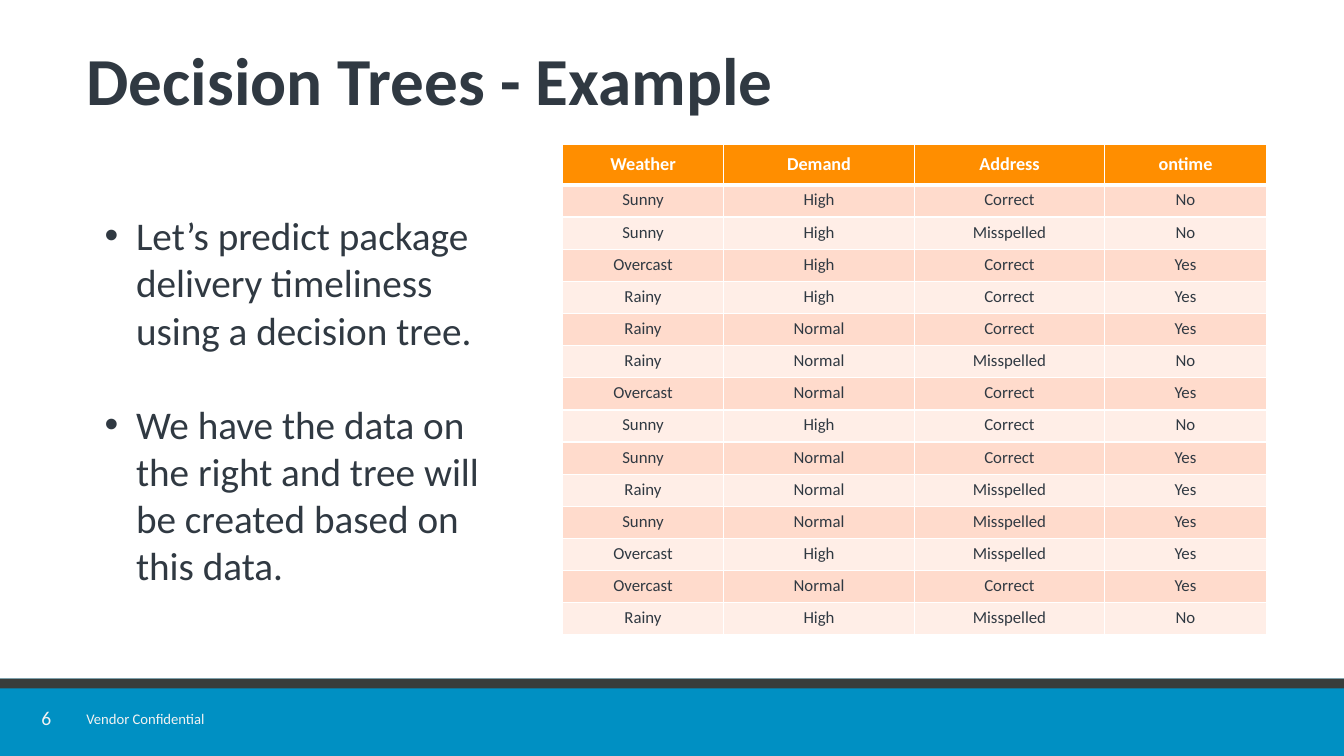
from lxml.etree import SubElement
from pptx import Presentation
from pptx.dml.color import RGBColor
from pptx.enum.shapes import MSO_SHAPE
from pptx.enum.text import MSO_ANCHOR, MSO_AUTO_SIZE, PP_ALIGN
from pptx.oxml.ns import qn
from pptx.util import Cm, Pt

INK, WHITE, PALE = "303942", "FFFFFF", "F2F2F2"
BLUE, SLATE = "0090C3", "383D3B"
HEAD, BANDS = "FF8E00", ("FFEEE7", "FFDBCC")
WIDTHS = (4.07, 4.8, 4.8, 4.07)
HEADS = ("Weather", "Demand", "Address", "ontime")
ROWS = """Sunny High Correct No
Sunny High Misspelled No
Overcast High Correct Yes
Rainy High Correct Yes
Rainy Normal Correct Yes
Rainy Normal Misspelled No
Overcast Normal Correct Yes
Sunny High Correct No
Sunny Normal Correct Yes
Rainy Normal Misspelled Yes
Sunny Normal Misspelled Yes
Overcast High Misspelled Yes
Overcast Normal Correct Yes
Rainy High Misspelled No"""
POINTS = (
    "Let’s predict package delivery timeliness using a decision tree.",
    "We have the data on the right and tree will be created based on this data.",
)


def paint(fmt, hue):
    fmt.rgb = RGBColor.from_string(hue)


def fill(part, hue):
    part.fill.solid()
    paint(part.fill.fore_color, hue)


def apply(item, form):
    for name, value in form.items():
        setattr(item, name, value)


def style(para, size, hue, bold=False, **form):
    apply(para, form)
    apply(para.font, {"name": "Calibri", "size": Pt(size), "bold": bold})
    paint(para.font.color, hue)


def add_bar(slide, top, height, hue):
    bar = slide.shapes.add_shape(
        MSO_SHAPE.RECTANGLE, 0, Cm(top), Cm(33.87), Cm(height))
    bar.shadow.inherit = False
    fill(bar, hue)
    bar.line.fill.background()


def add_text(slide, spot, **form):
    frame = slide.shapes.add_textbox(*map(Cm, spot)).text_frame
    apply(frame, form)
    return frame


def add_title(slide, text):
    title = slide.shapes.title
    spot = zip(("left", "top", "width", "height"), (1.93, 0.81, 30.86, 2.74))
    apply(title, {side: Cm(size) for side, size in spot})
    frame = title.text_frame
    frame.text = text
    apply(frame, {"vertical_anchor": MSO_ANCHOR.MIDDLE, "word_wrap": True,
                  "auto_size": MSO_AUTO_SIZE.NONE})
    style(frame.paragraphs[0], 48, INK, True,
          alignment=PP_ALIGN.LEFT, line_spacing=0.8)


def add_points(slide):
    frame = add_text(slide, (2.39, 5.21, 11, 9.83), word_wrap=True,
                     auto_size=MSO_AUTO_SIZE.SHAPE_TO_FIT_TEXT)
    for rank, text in enumerate(POINTS):
        para = frame.add_paragraph() if rank else frame.paragraphs[0]
        para.text = text
        props = para._p.get_or_add_pPr()
        props.set("marL", str(Cm(0.79)))
        props.set("indent", str(-Cm(0.79)))
        SubElement(props, qn("a:buFont"), typeface="Arial")
        SubElement(props, qn("a:buChar"), char="•")
        style(para, 28, INK)
        if rank:
            para.space_before = Pt(34)


def edge(cell, row):
    props = cell._tc.get_or_add_tcPr()
    thick = {(0, "B"), (1, "T")}
    for side in "LRTB":
        width = 3 if (row, side) in thick else 1
        line = SubElement(props, qn("a:ln" + side), w=str(Pt(width)))
        ink = SubElement(line, qn("a:solidFill"))
        SubElement(ink, qn("a:srgbClr"), val=WHITE)


def add_data(slide):
    data = [HEADS] + [line.split() for line in ROWS.splitlines()]
    table = slide.shapes.add_table(
        len(data), len(HEADS), Cm(14.17), Cm(3.64), Cm(sum(WIDTHS)), Cm(12.36)).table
    for col, width in zip(table.columns, WIDTHS):
        col.width = Cm(width)
    for r, words in enumerate(data):
        table.rows[r].height = Cm(0.81 if r else 1.02)
        for c, word in enumerate(words):
            cell = table.cell(r, c)
            cell.text = word
            edge(cell, r)
            fill(cell, BANDS[r % 2] if r else HEAD)
            cell.vertical_anchor = MSO_ANCHOR.TOP if r else MSO_ANCHOR.MIDDLE
            style(cell.text_frame.paragraphs[0], 12 if r else 13,
                  INK if r else WHITE, not r, alignment=PP_ALIGN.CENTER)


def add_foot(slide):
    add_bar(slide, 17.1, 1.95, BLUE)
    add_bar(slide, 17.1, 0.25, SLATE)
    page = add_text(slide, (0.84, 17.83, 0.66, 0.58), word_wrap=True,
                    vertical_anchor=MSO_ANCHOR.MIDDLE, margin_left=0,
                    margin_right=0, margin_top=0, margin_bottom=0)
    page.text = "6"
    style(page.paragraphs[0], 14, PALE,
          alignment=PP_ALIGN.CENTER, line_spacing=0.9)
    note = add_text(slide, (1.93, 17.75, 4.06, 0.71), word_wrap=False,
                    auto_size=MSO_AUTO_SIZE.SHAPE_TO_FIT_TEXT)
    note.text = "Vendor Confidential"
    style(note.paragraphs[0], 10.5, PALE, alignment=PP_ALIGN.LEFT)


def main():
    deck = Presentation()
    apply(deck, {"slide_width": Cm(33.87), "slide_height": Cm(19.05)})
    slide = deck.slides.add_slide(deck.slide_layouts[5])
    # Footer band
    add_foot(slide)
    # Title and points
    add_title(slide, "Decision Trees - Example")
    add_points(slide)
    # Delivery data
    add_data(slide)
    deck.save("out.pptx")


if __name__ == "__main__":
    main()
